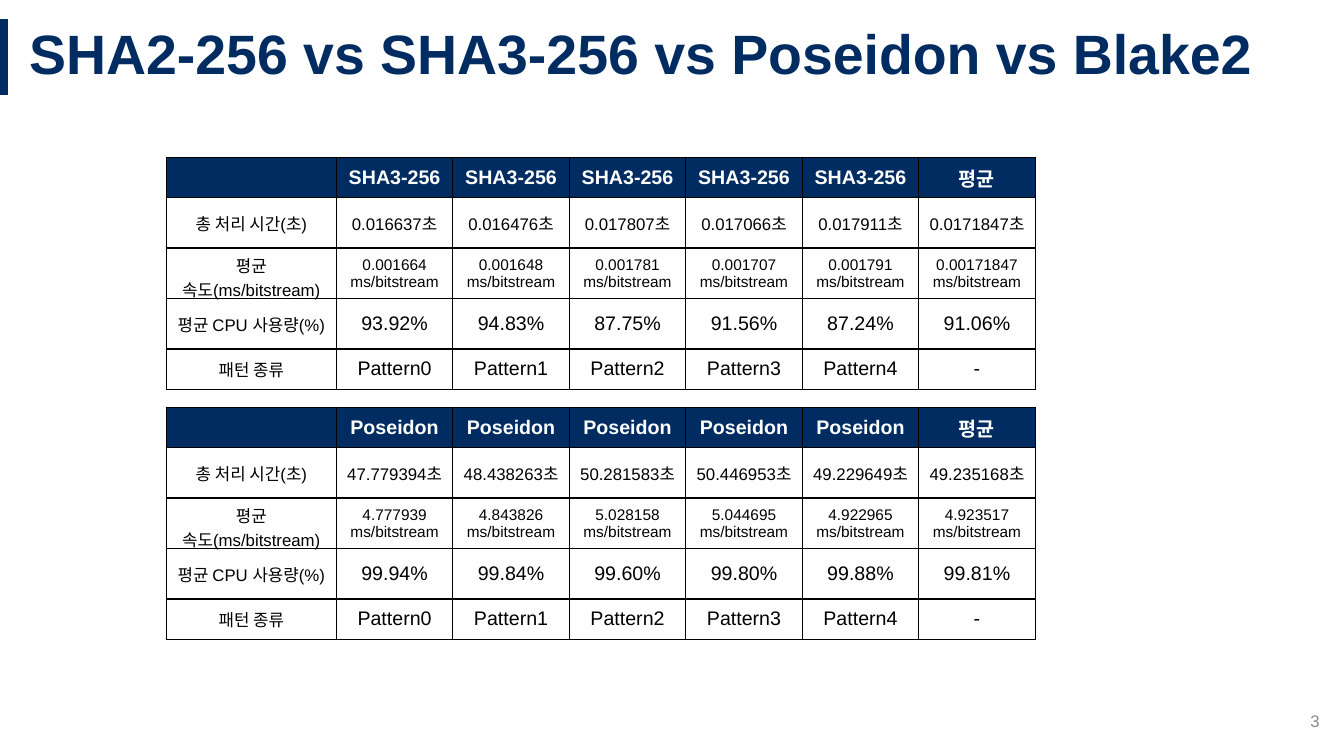
from lxml import etree
from pptx import Presentation
from pptx import util as u
from pptx.dml import color
from pptx.enum import shapes, text
from pptx.oxml import ns

COLORS = {"navy": "002C62", "black": "000000", "white": "FFFFFF", "gray": "8C8C8C"}
FONT = "Arial"
LABEL_SIZE = 12
LABEL_WIDTH, VALUE_WIDTH, ROW_HEIGHT = 121.5, 83.2, 28.8
ROWS = [
    ("총 처리 시간(초)", 12),
    ("평균 속도(ms/bitstream)", 11),
    ("평균 CPU 사용량(%)", 14),
    ("패턴 종류", 14),
]
PATTERNS = [f"Pattern{index}" for index in range(5)] + ["-"]
BENCHMARKS = [
    {
        "name": "SHA3-256",
        "top": 112.3,
        "times": ["0.016637", "0.016476", "0.017807", "0.017066", "0.017911", "0.0171847"],
        "speeds": ["0.001664", "0.001648", "0.001781", "0.001707", "0.001791", "0.00171847"],
        "usage": ["93.92", "94.83", "87.75", "91.56", "87.24", "91.06"],
    },
    {
        "name": "Poseidon",
        "top": 290.9,
        "times": ["47.779394", "48.438263", "50.281583", "50.446953", "49.229649", "49.235168"],
        "speeds": ["4.777939", "4.843826", "5.028158", "5.044695", "4.922965", "4.923517"],
        "usage": ["99.94", "99.84", "99.60", "99.80", "99.88", "99.81"],
    },
]


def rgb(name):
    """Return the named palette colour."""
    return color.RGBColor.from_string(COLORS[name])


def write_lines(frame, content, size, tint, bold=False, align=text.PP_ALIGN.CENTER):
    """Write each line of the content as a one-run paragraph."""
    for index, line in enumerate(content.split("\n")):
        paragraph = frame.add_paragraph() if index else frame.paragraphs[0]
        paragraph.alignment = align
        run = paragraph.add_run()
        run.text = line
        run.font.name = FONT
        run.font.size = u.Pt(size)
        run.font.bold = bold
        run.font.color.rgb = rgb(tint)


def add_label(slide, box, content, size, tint, bold, align):
    """Add a vertically centred text box and return its paragraph."""
    frame = slide.shapes.add_textbox(*map(u.Pt, box)).text_frame
    frame.word_wrap = True
    frame.vertical_anchor = text.MSO_ANCHOR.MIDDLE
    write_lines(frame, content, size, tint, bold, align)
    return frame.paragraphs[0]


def add_heading(slide, left, top, width, height):
    """Add the accent bar and the title beside it."""
    bar = slide.shapes.add_connector(
        shapes.MSO_CONNECTOR.STRAIGHT,
        u.Pt(left), u.Pt(top), u.Pt(left), u.Pt(top + height),
    )
    bar.line.color.rgb = rgb("navy")
    bar.line.width = u.Pt(6)
    etree.SubElement(bar._element.spPr, ns.qn("a:effectLst"))
    gap = 10.8
    title = add_label(
        slide, (left + gap, top, width - gap, height),
        "SHA2-256 vs SHA3-256 vs Poseidon vs Blake2",
        39.6, "navy", True, text.PP_ALIGN.LEFT,
    )
    title.line_spacing = 0.9


def add_borders(cell):
    """Draw a thin black line on all four sides of a cell."""
    properties = cell._tc.get_or_add_tcPr()
    for side in ("lnL", "lnR", "lnT", "lnB"):
        line = etree.SubElement(properties, ns.qn(f"a:{side}"), w=str(u.Pt(1)))
        fill = etree.SubElement(line, ns.qn("a:solidFill"))
        etree.SubElement(fill, ns.qn("a:srgbClr"), val=COLORS["black"])


def table_rows(benchmark):
    """Return the cell texts of a benchmark, row by row."""
    values = [
        [f"{time}초" for time in benchmark["times"]],
        [f"{speed}\nms/bitstream" for speed in benchmark["speeds"]],
        [f"{usage}%" for usage in benchmark["usage"]],
        PATTERNS,
    ]
    header = ["", *[benchmark["name"]] * 5, "평균"]
    return [header] + [[label, *row] for (label, _), row in zip(ROWS, values)]


def add_benchmark(slide, left, top, benchmark):
    """Add one benchmark table with its top left corner at the given place."""
    rows = table_rows(benchmark)
    widths = [LABEL_WIDTH] + [VALUE_WIDTH] * 6
    table = slide.shapes.add_table(
        len(rows), len(widths), u.Pt(left), u.Pt(top),
        u.Pt(sum(widths)), u.Pt(ROW_HEIGHT * len(rows)),
    ).table
    table.horz_banding = False
    for column, width in zip(table.columns, widths):
        column.width = u.Pt(width)
    for row_index, row in enumerate(rows):
        table.rows[row_index].height = u.Pt(ROW_HEIGHT)
        header = row_index == 0
        value_size = 14 if header else ROWS[row_index - 1][1]
        for column_index, content in enumerate(row):
            cell = table.cell(row_index, column_index)
            cell.vertical_anchor = text.MSO_ANCHOR.MIDDLE
            add_borders(cell)
            if header:
                cell.fill.solid()
                cell.fill.fore_color.rgb = rgb("navy")
            else:
                cell.fill.background()
            if content:
                size = value_size if column_index else LABEL_SIZE
                tint = "white" if header else "black"
                write_lines(cell.text_frame, content, size, tint, header)


def main():
    """Build and save the benchmark slide."""
    presentation = Presentation()
    presentation.slide_width, presentation.slide_height = u.Pt(960), u.Pt(540)
    slide = presentation.slides.add_slide(presentation.slide_layouts[6])
    add_heading(slide, 2.9, 13.7, 957.1, 54)
    for benchmark in BENCHMARKS:
        add_benchmark(slide, 118.8, benchmark["top"], benchmark)
    add_label(slide, (733.7, 500.4, 216, 28.8), "3", 12, "gray", False, text.PP_ALIGN.RIGHT)
    presentation.save("out.pptx")


if __name__ == "__main__":
    main()
